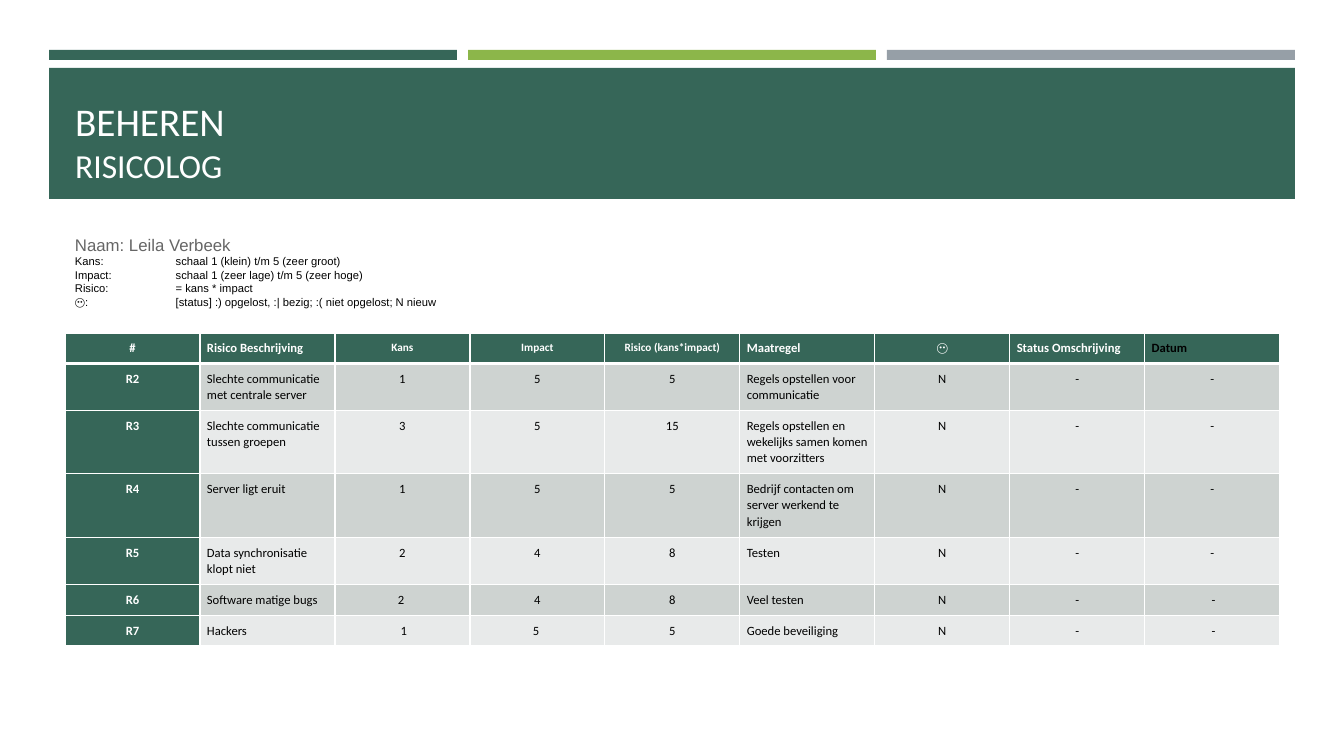
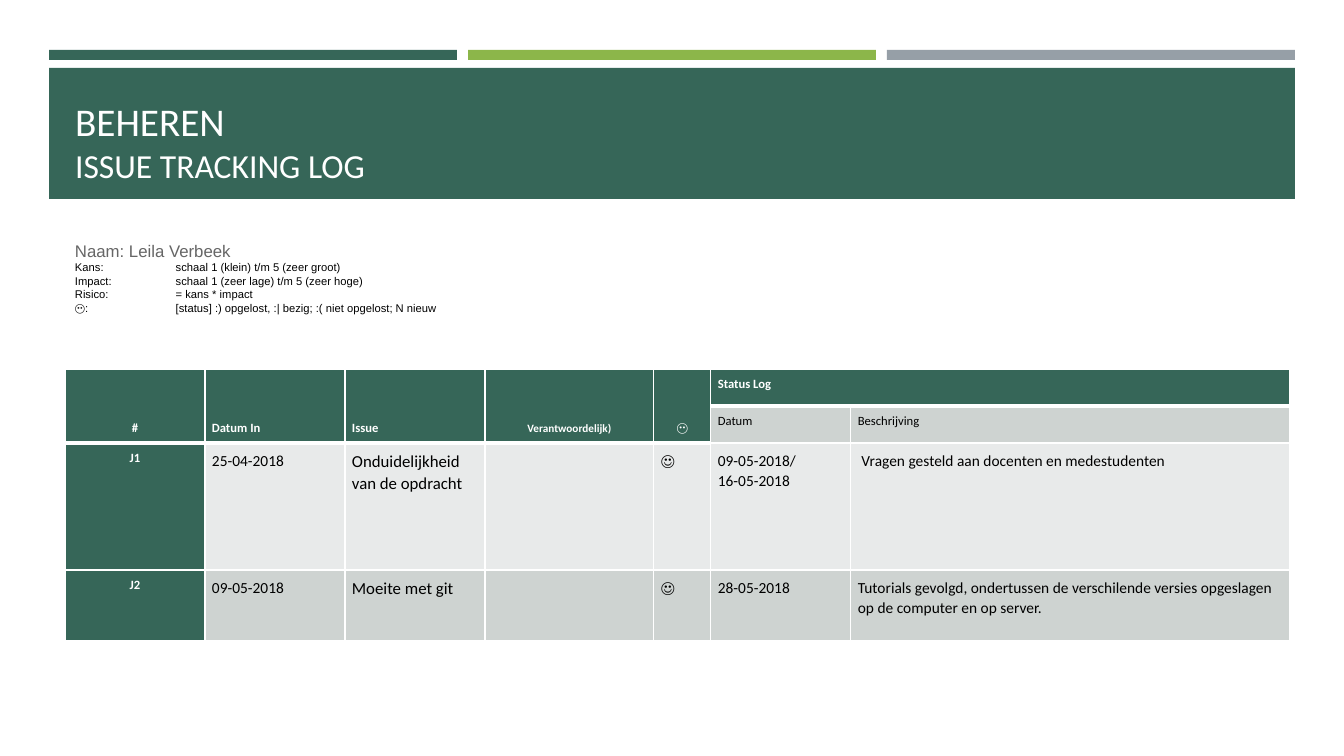
import pptx
import pptx.util
import pptx.dml.color
import pptx.enum.shapes
import pptx.enum.text
import pptx.oxml.ns
import lxml.etree

RGBColor = pptx.dml.color.RGBColor
ALIGN = pptx.enum.text.PP_ALIGN
ANCHOR = pptx.enum.text.MSO_ANCHOR
FIT = pptx.enum.text.MSO_AUTO_SIZE
Pt = pptx.util.Pt
qn = pptx.oxml.ns.qn

GREEN = RGBColor(0x36, 0x66, 0x58)
LIME = RGBColor(0x8C, 0xB6, 0x4A)
STEEL = RGBColor(0x96, 0x9F, 0xA7)
GRAY = RGBColor(0x66, 0x66, 0x66)
DARK = RGBColor(0xCE, 0xD3, 0xD1)
LIGHT = RGBColor(0xE8, 0xEA, 0xEA)
WHITE = RGBColor(0xFF, 0xFF, 0xFF)
BLACK = RGBColor(0, 0, 0)

SCALE = 914400 / 100.8
FACE = "\U0001F636"
SMILE = "\u263A"
LEGEND = [
    "Kans: \tschaal 1 (klein) t/m 5 (zeer groot)",
    "Impact: \tschaal 1 (zeer lage) t/m 5 (zeer hoge)",
    "Risico:\t= kans * impact",
]
STATUS = ":\t[status] :) opgelost, :| bezig; :( niet opgelost; N nieuw"

RISKS = [
    ["#", "Risico Beschrijving", "Kans", "Impact", "Risico (kans*impact)",
     "Maatregel", FACE, "Status Omschrijving", "Datum"],
    ["R2", "Slechte communicatie met centrale server", "1", "5", "5",
     "Regels opstellen voor communicatie", "N", "-", "-"],
    ["R3", "Slechte communicatie tussen groepen", "3", "5", "15",
     "Regels opstellen en wekelijks samen komen met voorzitters", "N", "-", "-"],
    ["R4", "Server ligt eruit", "1", "5", "5",
     "Bedrijf contacten om server werkend te krijgen", "N", "-", "-"],
    ["R5", "Data synchronisatie klopt niet", "2", "4", "8", "Testen", "N", "-", "-"],
    ["R6", "Software matige bugs", "2\u00a0", "4", "8", "Veel testen", "N", "-", "\u00a0-"],
    ["R7", "Hackers", "\u00a01", "5\u00a0", "5", "Goede beveiliging", "N", "-", "\u00a0-"],
]
ISSUES = [
    ["#", "Datum In", "Issue", "Verantwoordelijk)", FACE, "Status Log", ""],
    ["", "", "", "", "", "Datum", "Beschrijving"],
    ["J1", "25-04-2018", "Onduidelijkheid van de opdracht", "", SMILE,
     "09-05-2018/\n16-05-2018", "\u00a0Vragen gesteld aan docenten en medestudenten"],
    ["J2", "09-05-2018", "Moeite met git", "", SMILE, "28-05-2018",
     "Tutorials gevolgd, ondertussen de verschilende versies opgeslagen "
     "op de computer en op server."],
]


def px(n):
    return pptx.util.Emu(round(n * SCALE))


def apply(item, **vals):
    for name, val in vals.items():
        setattr(item, name, val)


def style(font, size, ink, name="Calibri", bold=False):
    apply(font, size=Pt(size), name=name, bold=bold)
    font.color.rgb = ink


def write(para, text, *look):
    run = para.add_run()
    run.text = text
    style(run.font, *look)


def add_bar(slide, box, paint):
    bar = slide.shapes.add_shape(pptx.enum.shapes.MSO_SHAPE.RECTANGLE, *map(px, box))
    bar.shadow.inherit = False
    bar.fill.solid()
    bar.fill.fore_color.rgb = paint
    bar.line.fill.background()
    return bar


def frame_layout(layout, slide):
    bars = [add_bar(slide, (49 + 419 * i, 50, 408, 10), paint)
            for i, paint in enumerate((GREEN, LIME, STEEL))]
    bars.append(add_bar(slide, (49, 68, 1246, 131), GREEN))
    for i, bar in enumerate(bars):
        layout.shapes.element.insert(2 + i, bar.element)


def add_title(slide, text):
    title = slide.shapes.title
    apply(title, left=px(65), top=px(78), width=px(1216), height=px(112))
    apply(title.text_frame, word_wrap=True, auto_size=FIT.NONE,
          vertical_anchor=ANCHOR.BOTTOM)
    para = title.text_frame.paragraphs[0]
    para.alignment = ALIGN.LEFT
    write(para, "BEHEREN", 28, WHITE)
    para.add_line_break()
    write(para, text, 24, WHITE)


def add_legend(slide, top):
    box = slide.shapes.add_textbox(px(65), px(top), px(1216), px(85))
    frame = box.text_frame
    apply(frame, word_wrap=True, vertical_anchor=ANCHOR.MIDDLE)
    write(frame.paragraphs[0], "Naam: Leila Verbeek", 12, GRAY, "Arial")
    for line in LEGEND:
        write(frame.add_paragraph(), line, 8, BLACK, "Arial")
    last = frame.add_paragraph()
    write(last, FACE, 8, BLACK)
    write(last, STATUS, 8, BLACK, "Arial")
    for para in frame.paragraphs[1:]:
        stops = lxml.etree.SubElement(para._p.get_or_add_pPr(), qn("a:tabLst"))
        lxml.etree.SubElement(stops, qn("a:tab"), pos="914400", algn="l")


def set_edges(cell, top, base):
    props = cell._tc.get_or_add_tcPr()
    for i, (side, width) in enumerate(zip("LRTB", (1, 1, top, base))):
        line = lxml.etree.Element(qn("a:ln" + side), w=str(Pt(width)))
        fill = lxml.etree.SubElement(line, qn("a:solidFill"))
        lxml.etree.SubElement(fill, qn("a:srgbClr"), val=str(WHITE))
        props.insert(i, line)


def add_grid(slide, top, rows, widths, heights, mids, small, sizes=None, heads=1, spans=()):
    shape = slide.shapes.add_table(len(rows), len(widths), px(65), px(top),
                                   px(sum(widths)), px(sum(heights)))
    grid = shape.table
    apply(grid, first_row=False, horz_banding=False)
    for col, width in zip(grid.columns, widths):
        col.width = px(width)
    for row, height in zip(grid.rows, heights):
        row.height = px(height)
    for start, end in spans:
        grid.cell(*start).merge(grid.cell(*end))

    def is_head(r, c):
        return r == 0 or grid.cell(r, c).is_spanned

    for r, row in enumerate(rows):
        for c, text in enumerate(row):
            cell = grid.cell(r, c)
            head = is_head(r, c)
            strong = head or c == 0
            tall = cell.is_merge_origin and cell.span_height > 1
            apply(cell, vertical_anchor=ANCHOR.BOTTOM if tall else ANCHOR.TOP,
                  **{"margin_" + side: px(7) for side in ("left", "right", "top", "bottom")})
            cell.fill.solid()
            cell.fill.fore_color.rgb = GREEN if strong else DARK if r % 2 else LIGHT
            set_edges(cell, 3 if r and not head and is_head(r - 1, c) else 1, 3 if head else 1)
            if not text:
                continue
            cell.text_frame.text = text
            if r < heads:
                size = 8 if r == 0 and c in small else 9
            else:
                size = (sizes or {}).get(c, 9)
            for para in cell.text_frame.paragraphs:
                apply(para, line_spacing=1.07,
                      alignment=ALIGN.CENTER if c in mids[r > 0] else ALIGN.LEFT)
                style(para.runs[0].font, size, WHITE if strong else BLACK, "Calibri", strong)
    return grid


def main():
    deck = pptx.Presentation()
    apply(deck, slide_width=px(1344), slide_height=px(756))
    layout = deck.slide_layouts[5]

    risk = deck.slides.add_slide(layout)
    frame_layout(layout, risk)
    add_title(risk, "RISICOLOG")
    grid = add_grid(risk, 333, RISKS, [135] * 9, [30, 46, 63, 64, 46, 31, 30],
                    ({0, 2, 3, 4, 6}, {0, 2, 3, 4, 6, 7, 8}), {2, 3, 4})
    grid.cell(0, 8).text_frame.paragraphs[0].runs[0].font.color.rgb = BLACK
    add_legend(risk, 229)

    issue = deck.slides.add_slide(layout)
    add_title(issue, "ISSUE TRACKING LOG")
    add_grid(issue, 369, ISSUES, [140, 140, 140, 169, 57, 140, 439], [37, 37, 127, 71],
             ({0, 3, 4}, {0}), {3}, {1: 11, 2: 12, 4: 11, 5: 11, 6: 11}, 2,
             [((0, c), (1, c)) for c in range(5)] + [((0, 5), (0, 6))])
    add_legend(issue, 235)

    deck.save("out.pptx")


main()
